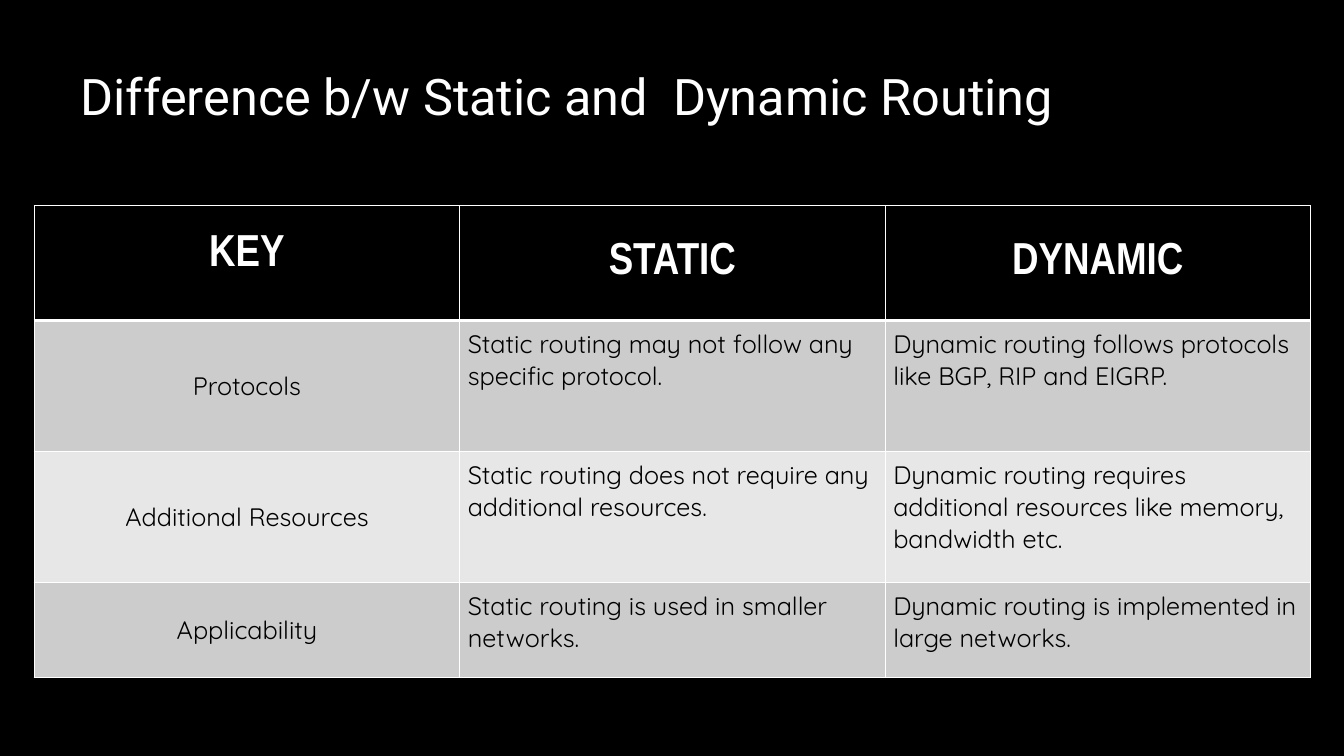
from lxml.etree import SubElement
from pptx import Presentation
from pptx.dml.color import RGBColor
from pptx.enum.text import MSO_ANCHOR as Anchor, PP_ALIGN as Align
from pptx.oxml.ns import qn
from pptx.util import Inches, Pt

COLORS = {"black": "000000", "white": "FFFFFF", "odd": "CCCCCC", "even": "E7E7E7"}
ROW_HEIGHTS = [1.14, 1.3, 1.3, 0.94]
CELL_INSET = 0.08
KEY_LIFT = 0.16
ROWS = [
    ["KEY", "STATIC", "DYNAMIC"],
    ["Protocols", "Static routing may not follow any specific protocol.",
     "Dynamic routing follows protocols like BGP, RIP and EIGRP."],
    ["Additional Resources", "Static routing does not require any additional resources.",
     "Dynamic routing requires additional resources like memory, bandwidth etc."],
    ["Applicability", "Static routing is used in smaller networks.",
     "Dynamic routing is implemented in large networks."],
]


def color(name):
    return RGBColor.from_string(COLORS[name])


def set_font(paragraph, name, size, color_name, bold=False):
    font = paragraph.font
    font.name, font.size, font.bold = name, Pt(size), bold
    font.color.rgb = color(color_name)


def set_borders(cell, widths):
    properties = cell._tc.get_or_add_tcPr()
    for side, width in widths.items():
        line = SubElement(properties, qn(f"a:ln{side}"), w=str(Pt(width)))
        fill = SubElement(line, qn("a:solidFill"))
        SubElement(fill, qn("a:srgbClr"), val=COLORS["white"])


def add_title(slide, left, top, width, height):
    shape = slide.shapes.add_textbox(*map(Inches, (left, top, width, height)))
    shape.text_frame.word_wrap = True
    paragraph = shape.text_frame.paragraphs[0]
    paragraph.text = "Difference b/w Static and  Dynamic Routing"
    set_font(paragraph, "Roboto", 36, "white")


def fill_cell(cell, text, row, column):
    is_header = row == 0
    set_borders(cell, {"L": 1, "R": 1, "T": 3 if row == 1 else 1, "B": 3 if is_header else 1})
    cell.fill.solid()
    cell.fill.fore_color.rgb = color("black" if is_header else "odd" if row % 2 else "even")
    cell.margin_left = cell.margin_right = Inches(CELL_INSET)
    cell.margin_top = cell.margin_bottom = Inches(CELL_INSET)
    if is_header and column == 0:
        cell.margin_bottom = Inches(CELL_INSET + KEY_LIFT)
    centred = is_header or column == 0
    cell.vertical_anchor = Anchor.MIDDLE if centred else Anchor.TOP
    cell.text = text
    paragraph = cell.text_frame.paragraphs[0]
    paragraph.alignment = Align.CENTER if centred else Align.LEFT
    if is_header:
        set_font(paragraph, "Arial Narrow", 32, "white", True)
    else:
        set_font(paragraph, "Quicksand", 18, "black")


def add_comparison(slide, left, top, width, height):
    column_count = len(ROWS[0])
    box = map(Inches, (left, top, width, height))
    table = slide.shapes.add_table(len(ROWS), column_count, *box).table
    for column in table.columns:
        column.width = Inches(width / column_count)
    for row, (texts, share) in enumerate(zip(ROWS, ROW_HEIGHTS)):
        table.rows[row].height = Inches(height * share / sum(ROW_HEIGHTS))
        for column, text in enumerate(texts):
            fill_cell(table.cell(row, column), text, row, column)


def main():
    presentation = Presentation()
    presentation.slide_width, presentation.slide_height = Inches(13.33), Inches(7.5)
    slide = presentation.slides.add_slide(presentation.slide_layouts[6])
    slide.background.fill.solid()
    slide.background.fill.fore_color.rgb = color("black")
    add_title(slide, 0.7, 0.6, 12, 0.7)
    add_comparison(slide, 0.34, 2.04, 12.66, sum(ROW_HEIGHTS))
    presentation.save("out.pptx")


if __name__ == "__main__":
    main()
